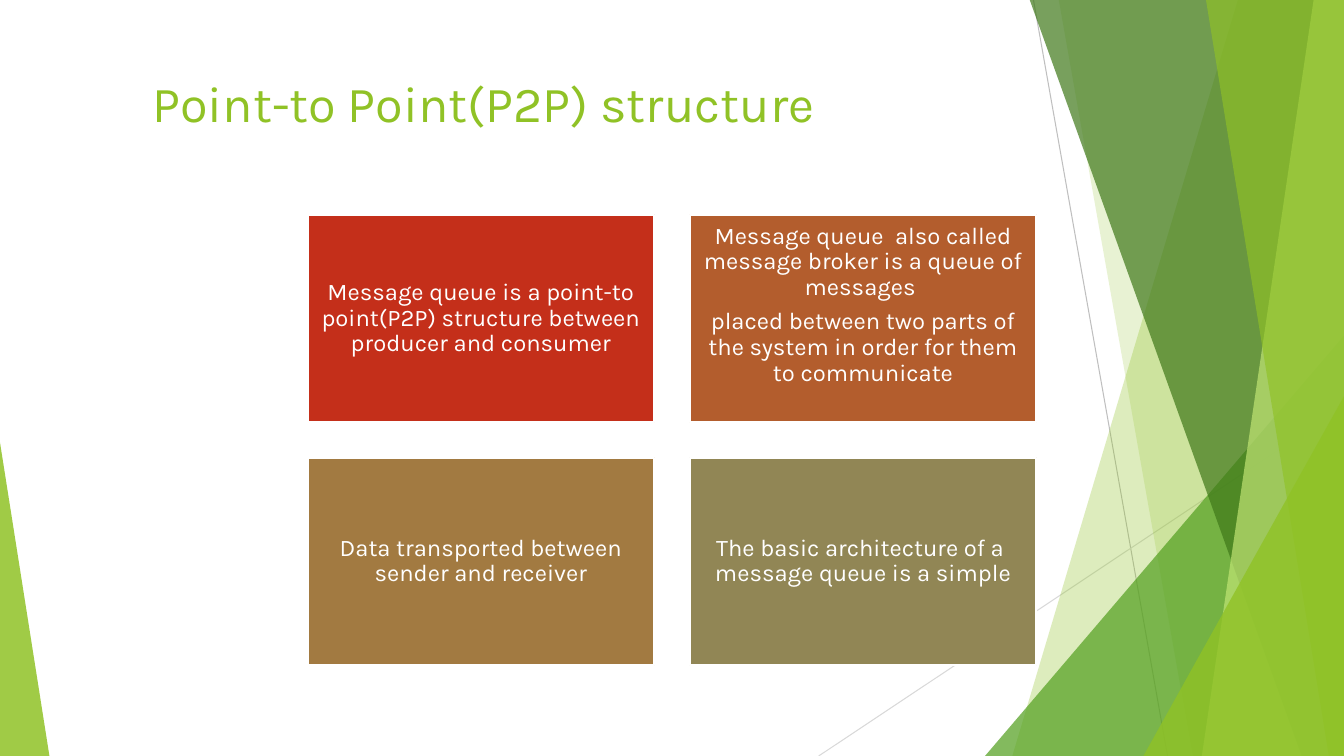
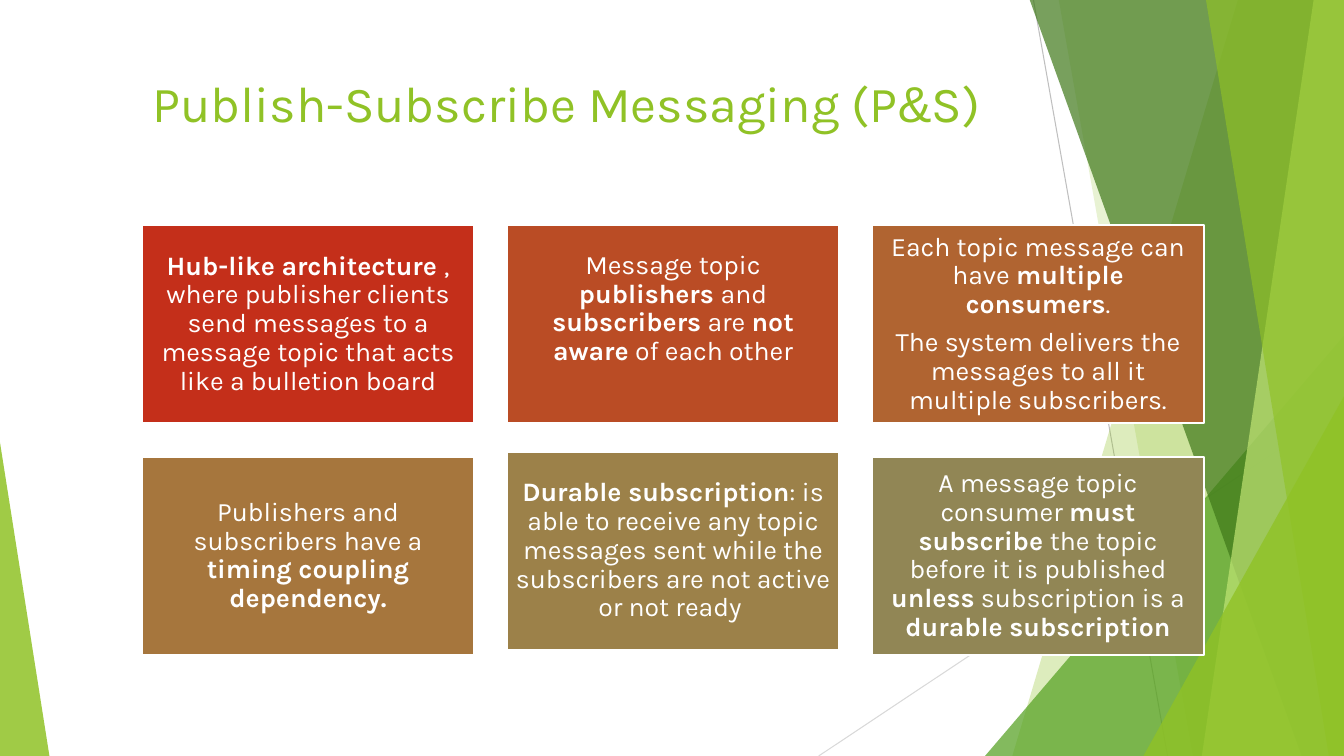
from dataclasses import dataclass
from itertools import groupby

from lxml.etree import SubElement
from pptx import Presentation
from pptx.dml.color import RGBColor
from pptx.enum.shapes import MSO_CONNECTOR, MSO_SHAPE
from pptx.enum.text import MSO_ANCHOR, MSO_AUTO_SIZE, PP_ALIGN
from pptx.oxml.ns import qn
from pptx.util import Emu, Pt

SLIDE_WIDTH, SLIDE_HEIGHT = 1333, 750
EMU_PER_PX = 9144


@dataclass(frozen=True)
class Theme:
    font: str = "Karla"
    ampersand_font: str = "Arial"
    title_size: int = 36
    accent: str = "90C226"
    leaf: str = "54A021"
    forest: str = "3F7819"
    lime: str = "C0E474"
    steep_line: str = "BFBFBF"
    shallow_line: str = "D9D9D9"
    white: str = "FFFFFF"
    four_cards: tuple = ("C42F1A", "B35D2D", "A27A41", "918655")
    six_cards: tuple = ("C42F1A", "BA4C25", "B06431", "A6763D", "9C8149", "918655")


THEME = Theme()


@dataclass(frozen=True)
class Card:
    paragraphs: tuple
    shift: int = 0


@dataclass(frozen=True)
class Grid:
    left: int
    top: int
    width: int
    height: int
    gap: int
    columns: int
    text_size: int
    inset: int
    fills: tuple


P2P_GRID = Grid(305, 213, 344, 206, 35, 2, 17, 7, THEME.four_cards)
P2P_CARDS = (
    Card(("Message queue is a point-to point(P2P) structure between producer and consumer",)),
    Card((
        "Message queue  also called message broker is a queue of messages ",
        "placed between two parts of the system in order for them to communicate\n",
    )),
    Card(("Data transported between sender and receiver",)),
    Card(("The basic architecture of a  message queue is a simple",)),
)

PUBSUB_GRID = Grid(141, 223, 329, 197, 33, 3, 19, 8, THEME.six_cards)
PUBSUB_CARDS = (
    Card((
        "**Hub-like architecture **, where publisher clients send messages "
        "to a message topic that acts like a bulletion board",
    )),
    Card(("Message topic **publishers **and **subscribers** are **not aware** of each other\n",)),
    Card((
        "Each topic message can have **multiple consumers**.",
        "The system delivers the messages to all it multiple subscribers.",
    )),
    Card(("Publishers and subscribers have a **timing coupling dependency.**",)),
    Card((
        "**Durable subscription**: is able to receive any topic messages sent "
        "while the subscribers are not active or not ready ",
    ), shift=-5),
    Card((
        "A message topic consumer **must subscribe **the topic before it is published "
        "**unless** subscription is a **durable subscription**",
    )),
)


def px(*lengths):
    return [Emu(length * EMU_PER_PX) for length in lengths]


def rgb(color):
    return RGBColor.from_string(color)


def write(paragraph, text, *, size, color, align=PP_ALIGN.LEFT, line_spacing=None, space_after=0):
    paragraph.alignment = align
    paragraph.line_spacing = line_spacing
    paragraph.space_after = Pt(space_after)
    for index, phrase in enumerate(text.rstrip("\n").split("**")):
        for is_ampersand, letters in groupby(phrase, lambda letter: letter == "&"):
            run = paragraph.add_run()
            run.text = "".join(letters)
            run.font.name = THEME.ampersand_font if is_ampersand else THEME.font
            run.font.size = Pt(size)
            run.font.bold = index % 2 == 1
            run.font.color.rgb = rgb(color)
    if text.endswith("\n"):
        paragraph.add_line_break()


def paint(shape, color, opacity=100):
    shape.shadow.inherit = False
    shape.fill.solid()
    shape.fill.fore_color.rgb = rgb(color)
    shape.line.fill.background()
    if opacity < 100:
        swatch = shape.element.spPr.find(qn("a:solidFill"))[0]
        SubElement(swatch, qn("a:alpha"), val=str(opacity * 1000))
    return shape


def add_line(shapes, start, end, color):
    line = shapes.add_connector(MSO_CONNECTOR.STRAIGHT, *px(*start, *end))
    line.line.color.rgb = rgb(color)
    line.line.width = Pt(0.75)
    SubElement(line.element.spPr, qn("a:effectLst"))
    return line


def add_band(shapes, top_x, bottom_x, color, opacity):
    outline = shapes.build_freeform(top_x, -1, scale=EMU_PER_PX)
    outline.add_line_segments(
        [(SLIDE_WIDTH, -1), (SLIDE_WIDTH, SLIDE_HEIGHT), (bottom_x, SLIDE_HEIGHT)]
    )
    return paint(outline.convert_to_shape(), color, opacity)


def add_corner(shapes, left, top, width, apex, color, opacity):
    corner = shapes.add_shape(
        MSO_SHAPE.ISOSCELES_TRIANGLE, *px(left, top, width, SLIDE_HEIGHT - top)
    )
    corner.adjustments[0] = apex
    return paint(corner, color, opacity)


def decorate_layout(layout, slide):
    shapes = slide.shapes
    facets = [
        add_line(shapes, (1025, 0), (1158, SLIDE_HEIGHT), THEME.steep_line),
        add_line(shapes, (SLIDE_WIDTH, 403), (812, SLIDE_HEIGHT), THEME.shallow_line),
        add_band(shapes, 1228, 1004, THEME.accent, 30),
        add_band(shapes, 1050, 1183, THEME.accent, 20),
        add_corner(shapes, 977, 333, 356, 1, THEME.leaf, 72),
        add_band(shapes, 1021, 1291, THEME.forest, 70),
        add_band(shapes, 1303, 1192, THEME.lime, 70),
        add_band(shapes, 1196, 1318, THEME.accent, 65),
        add_corner(shapes, 1134, 393, 199, 1, THEME.accent, 80),
        add_corner(shapes, 0, 439, 49, 0, THEME.accent, 85),
    ]
    for number, facet in enumerate(facets, start=101):
        facet.element.xpath("./*/p:cNvPr")[0].set("id", str(number))
        layout.shapes.element.append(facet.element)


def set_title(slide, text):
    title = slide.shapes.title
    title.left, title.top, title.width, title.height = px(141, 67, 1115, 120)
    title.text_frame.auto_size = MSO_AUTO_SIZE.NONE
    title.text_frame.vertical_anchor = MSO_ANCHOR.TOP
    write(title.text_frame.paragraphs[0], text, size=THEME.title_size, color=THEME.accent)


def add_card(slide, card, left, top, grid, fill):
    box = slide.shapes.add_shape(
        MSO_SHAPE.RECTANGLE, *px(left, top + card.shift, grid.width, grid.height)
    )
    paint(box, fill)
    box.line.color.rgb = rgb(THEME.white)
    box.line.width = Pt(1.5)
    frame = box.text_frame
    frame.word_wrap = True
    frame.vertical_anchor = MSO_ANCHOR.MIDDLE
    frame.margin_left, frame.margin_top, frame.margin_right, frame.margin_bottom = px(
        *[grid.inset] * 4
    )
    for index, text in enumerate(card.paragraphs):
        paragraph = frame.add_paragraph() if index else frame.paragraphs[0]
        write(
            paragraph, text, size=grid.text_size, color=THEME.white,
            align=PP_ALIGN.CENTER, line_spacing=0.9, space_after=grid.text_size * 0.35,
        )


def add_cards(slide, grid, cards):
    for index, (card, fill) in enumerate(zip(cards, grid.fills)):
        row, column = divmod(index, grid.columns)
        left = grid.left + column * (grid.width + grid.gap)
        top = grid.top + row * (grid.height + grid.gap)
        add_card(slide, card, left, top, grid, fill)


def main():
    deck = Presentation()
    deck.slide_width, deck.slide_height = px(SLIDE_WIDTH, SLIDE_HEIGHT)
    layout = deck.slide_layouts.get_by_name("Title Only")
    p2p = deck.slides.add_slide(layout)
    pubsub = deck.slides.add_slide(layout)
    decorate_layout(layout, p2p)
    set_title(p2p, "Point-to Point(P2P) structure")
    add_cards(p2p, P2P_GRID, P2P_CARDS)
    set_title(pubsub, "Publish-Subscribe Messaging (P&S)")
    add_cards(pubsub, PUBSUB_GRID, PUBSUB_CARDS)
    deck.save("out.pptx")


if __name__ == "__main__":
    main()
